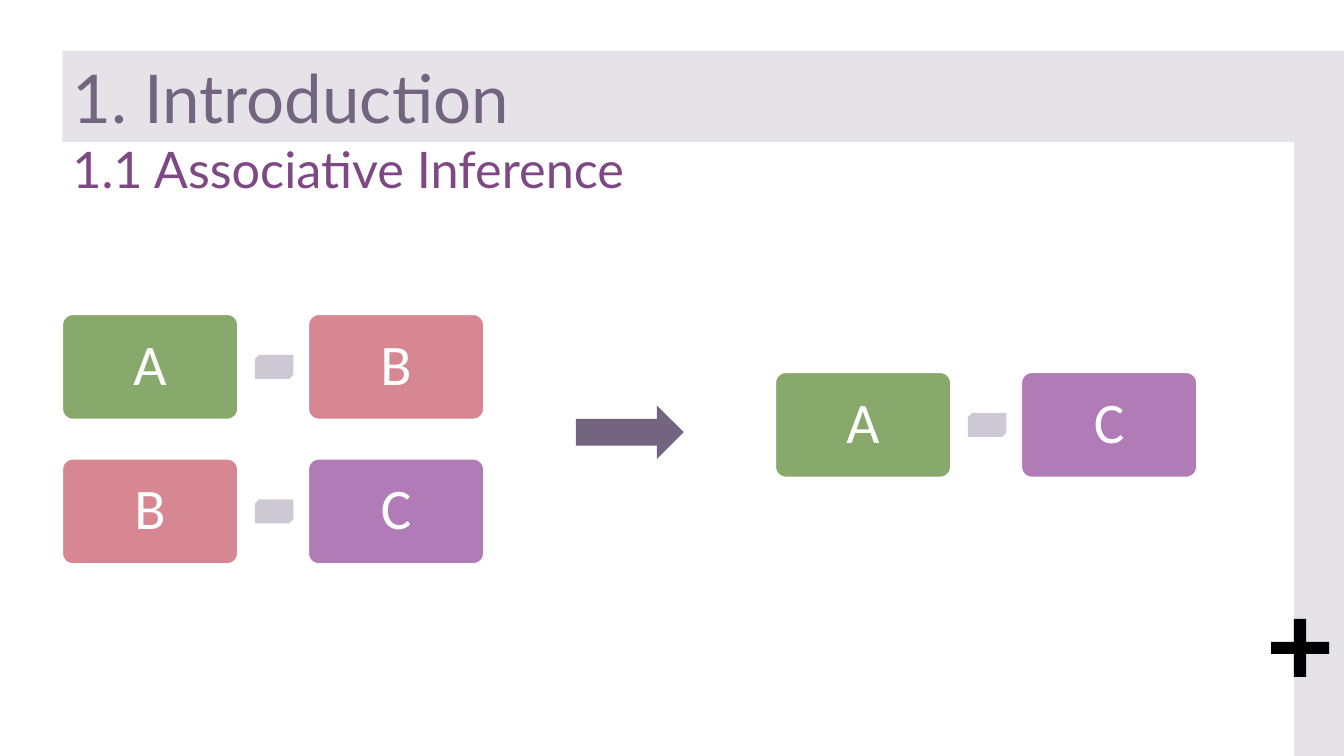
from pptx import Presentation
from pptx.dml.color import RGBColor
from pptx.enum import shapes, text
from pptx.util import Pt

COLORS = {
    "band": "E5E2E8", "slate": "736580", "plum": "7D4883", "dash": "CEC8D4",
    "green": "87A96B", "rose": "D68791", "violet": "B07BB6",
    "white": "FFFFFF", "black": "000000",
}
MSO = shapes.MSO_SHAPE


def add_block(kind, x, y, w, h, fill, line=None):
    sp = s.shapes.add_shape(kind, Pt(x), Pt(y), Pt(w), Pt(h))
    sp.shadow.inherit = False
    sp.fill.solid()
    sp.fill.fore_color.rgb = RGBColor.from_string(COLORS[fill])
    if line:
        sp.line.color.rgb = RGBColor.from_string(COLORS[line])
        sp.line.width = Pt(1)
    else:
        sp.line.fill.background()
    return sp


def set_text(sp, content, size, color, font="Lato", align=text.PP_ALIGN.LEFT,
             anchor=text.MSO_ANCHOR.MIDDLE, spacing=None):
    tf = sp.text_frame
    tf.word_wrap = True
    tf.vertical_anchor = anchor
    p = tf.paragraphs[0]
    p.alignment = align
    p.line_spacing = spacing
    r = p.add_run()
    r.text = content
    r.font.name = font
    r.font.size = Pt(size)
    r.font.color.rgb = RGBColor.from_string(COLORS[color])


prs = Presentation()
prs.slide_width, prs.slide_height = Pt(960), Pt(540)
s = prs.slides.add_slide(prs.slide_layouts[6])

# Frame and headings
LEFT = 44.6
add_block(MSO.RECTANGLE, 924.3, 86.4, 35.7, 453.6, "band")
plus = add_block(MSO.CROSS, 907.9, 442.1, 41.4, 41.4, "black")
plus.adjustments[0] = 0.395

subtitle = s.shapes.add_textbox(Pt(LEFT), Pt(95), Pt(651), Pt(65.5))
set_text(subtitle, "1.1 Associative Inference", 36, "plum", anchor=text.MSO_ANCHOR.TOP)

title = add_block(MSO.RECTANGLE, LEFT, 36.2, 960 - LEFT, 65.2, "band")
set_text(title, "1. Introduction", 48, "slate")

# Associated pairs
BOX_W, BOX_H, BOX_STEP = 125.3, 75, 175.7
DASH_W, DASH_H, DASH_X = 27.4, 17.2, 137.5
ITEM_COLORS = {"A": "green", "B": "rose", "C": "violet"}
pairs = [("AB", LEFT, 224.6), ("BC", LEFT, 327.8), ("AC", 553.9, 266)]

for items, x, y in pairs:
    for i, item in enumerate(items):
        box = add_block(MSO.ROUNDED_RECTANGLE, x + i * BOX_STEP, y, BOX_W, BOX_H,
                        ITEM_COLORS[item], line="white")
        box.adjustments[0] = 0.1
        set_text(box, item, 41, "white", font="Calibri",
                 align=text.PP_ALIGN.CENTER, spacing=0.9)
    dash = add_block(MSO.SNIP_2_DIAG_RECTANGLE, x + DASH_X, y + (BOX_H - DASH_H) / 2,
                     DASH_W, DASH_H, "dash")
    dash.adjustments[0] = 0.17
    dash.adjustments[1] = 0

add_block(MSO.RIGHT_ARROW, 411.3, 289.6, 77.1, 38.3, "slate")

prs.save("out.pptx")
